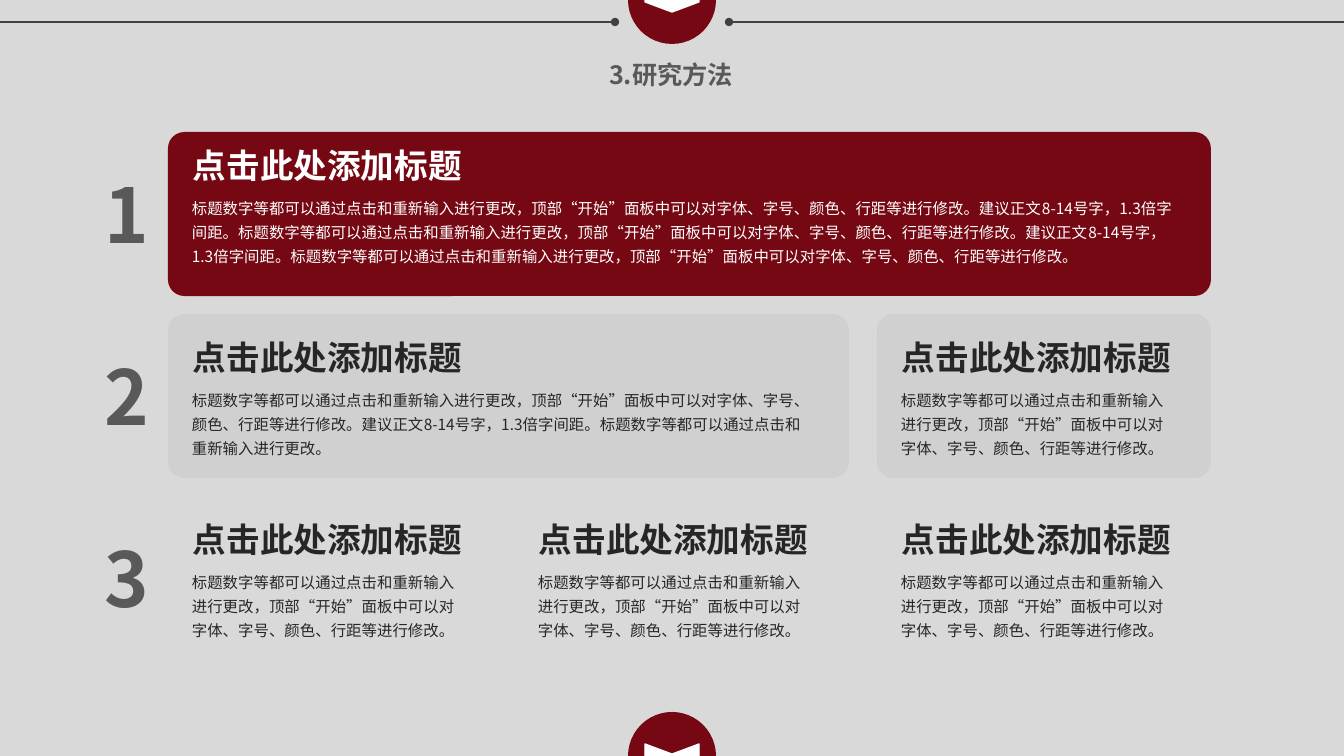
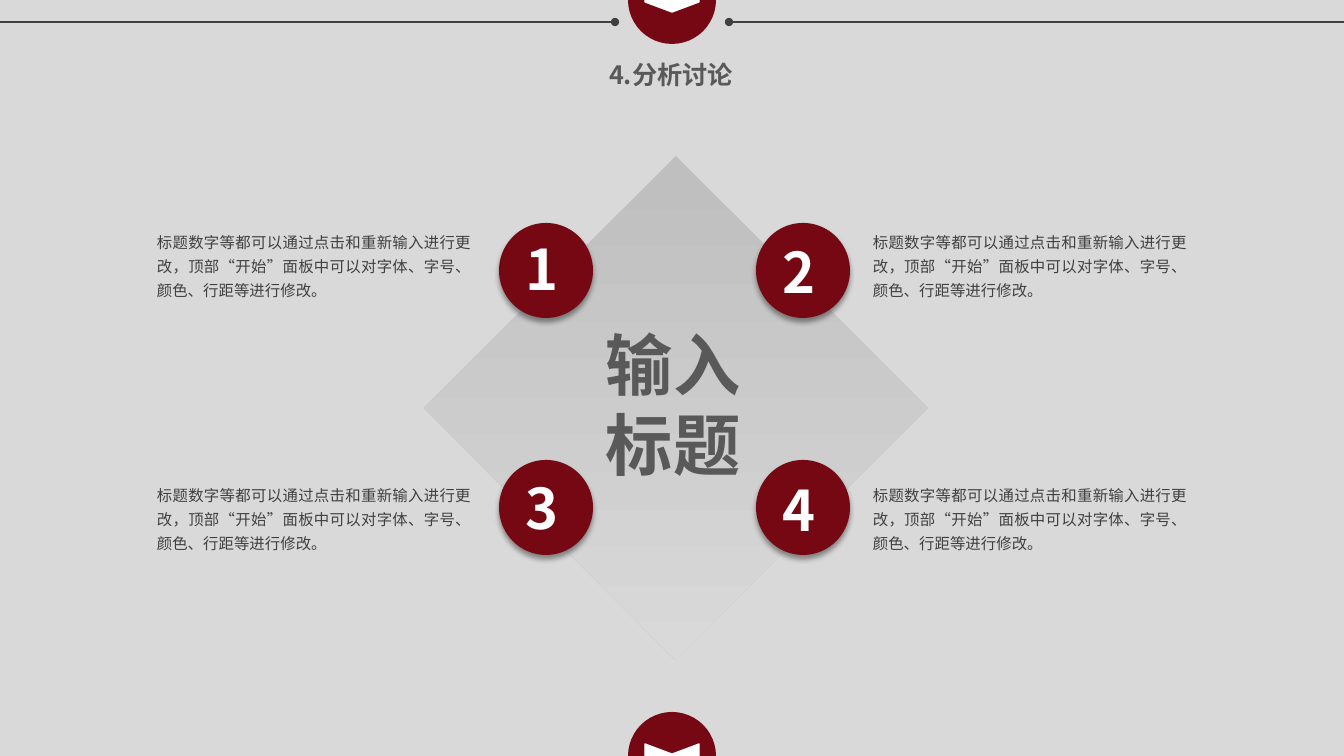
from lxml.etree import SubElement
from pptx import Presentation
from pptx.dml.color import RGBColor
from pptx.enum.lang import MSO_LANGUAGE_ID
from pptx.enum.shapes import MSO_CONNECTOR, MSO_SHAPE
from pptx.enum.text import MSO_AUTO_SIZE, PP_ALIGN
from pptx.oxml.ns import qn
from pptx.util import Emu, Pt

FONT = "Noto Sans CJK SC"
BACKGROUND, CRIMSON, PANEL = "D9D9D9", "750813", "D0D0D0"
WHITE, GREY, DARK, INK = "FFFFFF", "595959", "404040", "262626"
WIDTH, HEIGHT = 1344, 756

HEADING = "点击此处添加标题"
SENTENCE = "标题数字等都可以通过点击和重新输入进行更改"
SHORT = SENTENCE + "，顶部“开始”面板中可以对字体、字号、颜色、行距等进行修改。"
ADVICE = SHORT + "建议正文8-14号字，1.3倍字间距。"


def px(length):
    return Emu(round(length * 914400 / 100.8))


def rgb(color):
    return RGBColor.from_string(color)


class Deck:
    def __init__(self):
        self.prs = Presentation()
        self.prs.slide_width, self.prs.slide_height = px(WIDTH), px(HEIGHT)
        self.slide = None

    def start(self, title):
        self.slide = self.prs.slides.add_slide(self.prs.slide_layouts[6])
        background = self.slide.background.fill
        background.solid()
        background.fore_color.rgb = rgb(BACKGROUND)
        self.rule(0, 615, 22)
        self.rule(WIDTH, 729, 22)
        self.text(554, 54, 234, 40, [title], 18, GREY, bold=True, align=PP_ALIGN.CENTER)
        for center in (HEIGHT, 0):
            self.badge(WIDTH // 2, center)

    def shape(self, kind, x, y, w, h, color=None):
        shape = self.slide.shapes.add_shape(kind, px(x), px(y), px(w), px(h))
        shape.shadow.inherit = False
        shape.line.fill.background()
        if color:
            shape.fill.solid()
            shape.fill.fore_color.rgb = rgb(color)
        return shape

    def rule(self, start, end, y):
        rule = self.slide.shapes.add_connector(
            MSO_CONNECTOR.STRAIGHT, px(start), px(y), px(end), px(y))
        rule.line.color.rgb = rgb(DARK)
        rule.line.width = Pt(1.25)
        SubElement(rule.line._get_or_add_ln(), qn("a:tailEnd"), type="oval")
        SubElement(rule._element.spPr, qn("a:effectLst"))

    def badge(self, x, y):
        self.shape(MSO_SHAPE.OVAL, x - 44, y - 44, 88, 88, CRIMSON)
        chevron = self.shape(MSO_SHAPE.CHEVRON, x - 12, y - 27, 24, 54, WHITE)
        chevron.adjustments[0] = 0.42
        chevron.rotation = 90
        chevron.line.color.rgb = rgb(WHITE)
        chevron.line.width = Pt(1)

    def card(self, x, y, w, h, color):
        card = self.shape(MSO_SHAPE.ROUNDED_RECTANGLE, x, y, w, h, color)
        card.adjustments[0] = 0.1

    def diamond(self, x, y, size, top, bottom):
        diamond = self.shape(MSO_SHAPE.DIAMOND, x, y, size, size)
        diamond.fill.gradient()
        diamond.fill.gradient_angle = 270
        for stop, color, position in zip(
                diamond.fill.gradient_stops, (top, bottom), (0.03, 1)):
            stop.color.rgb = rgb(color)
            stop.position = position

    def raised_circle(self, x, y, w, h):
        circle = self.shape(MSO_SHAPE.OVAL, x, y, w, h, CRIMSON)
        effects = circle._element.spPr.find(qn("a:effectLst"))
        shadow = SubElement(effects, qn("a:outerShdw"), blurRad=str(Pt(4)),
                            dist=str(Pt(3)), dir="5400000", algn="t", rotWithShape="0")
        black = SubElement(shadow, qn("a:srgbClr"), val="000000")
        SubElement(black, qn("a:alpha"), val="40000")

    def text(self, x, y, w, h, lines, size, color, bold=False,
             align=None, spacing=None, wrap=True):
        frame = self.slide.shapes.add_textbox(px(x), px(y), px(w), px(h)).text_frame
        frame.word_wrap = wrap
        frame.auto_size = MSO_AUTO_SIZE.SHAPE_TO_FIT_TEXT
        for index, line in enumerate(lines):
            paragraph = frame.add_paragraph() if index else frame.paragraphs[0]
            paragraph.alignment = align
            paragraph.line_spacing = spacing
            run = paragraph.add_run()
            run.text = line
            run.font.size, run.font.bold, run.font.name = Pt(size), bold, FONT
            run.font.color.rgb = rgb(color)
            run.font.language_id = MSO_LANGUAGE_ID.SIMPLIFIED_CHINESE
            SubElement(run._r.get_or_add_rPr(), qn("a:ea"), typeface=FONT)

    def body(self, x, y, w, content, color, align=None):
        self.text(x, y, w, 83, [content], 11, color, align=align, spacing=1.3)

    def entry(self, x, y, w, content, color):
        self.text(x + 15, y, 319, 50, [HEADING], 24, color, bold=True)
        self.body(x + 14, y + 49, w, content, color)


def build_methods(deck):
    deck.start("3.研究方法")
    left, middle, right = 168, 514, 877
    rows = [
        (8, WHITE, CRIMSON, [(left, 1043, 1008, ADVICE * 2 + SHORT)]),
        (18, INK, PANEL, [(left, 681, 630, ADVICE + SENTENCE + "。"),
                          (right, 334, 287, SHORT)]),
        (18, INK, None, [(x, 334, 287, SHORT) for x in (left, middle, right)]),
    ]
    for index, (inset, ink, panel, entries) in enumerate(rows):
        top = 132 + 182 * index
        deck.text(95, top + 31, 55, 102, [str(index + 1)], 54, GREY, bold=True)
        for x, card_width, body_width, content in entries:
            if panel:
                deck.card(x, top, card_width, 164, panel)
            deck.entry(x, top + inset, body_width, content, ink)


def build_discussion(deck):
    deck.start("4.分析讨论")
    deck.diamond(424, 156, 504, "BFBFBF", BACKGROUND)
    circle_columns, body_columns = (499, 756), (147, 863)
    circle_rows, body_rows = (223, 460), (223, 476)
    number_tops = (230, 233, 469, 471)
    for index, number_top in enumerate(number_tops):
        row, column = divmod(index, 2)
        x = circle_columns[column]
        deck.raised_circle(x, circle_rows[row], 94, 95)
        deck.text(x + 17, number_top, 55, 78, [str(index + 1)], 40, WHITE,
                  bold=True, wrap=False)
        deck.body(body_columns[column], body_rows[row], 334, SHORT, DARK,
                  PP_ALIGN.JUSTIFY)
    deck.text(596, 318, 156, 173, ["输入", "标题"], 48, GREY, bold=True, wrap=False)


def main():
    deck = Deck()
    build_methods(deck)
    build_discussion(deck)
    deck.prs.save("out.pptx")


if __name__ == "__main__":
    main()
